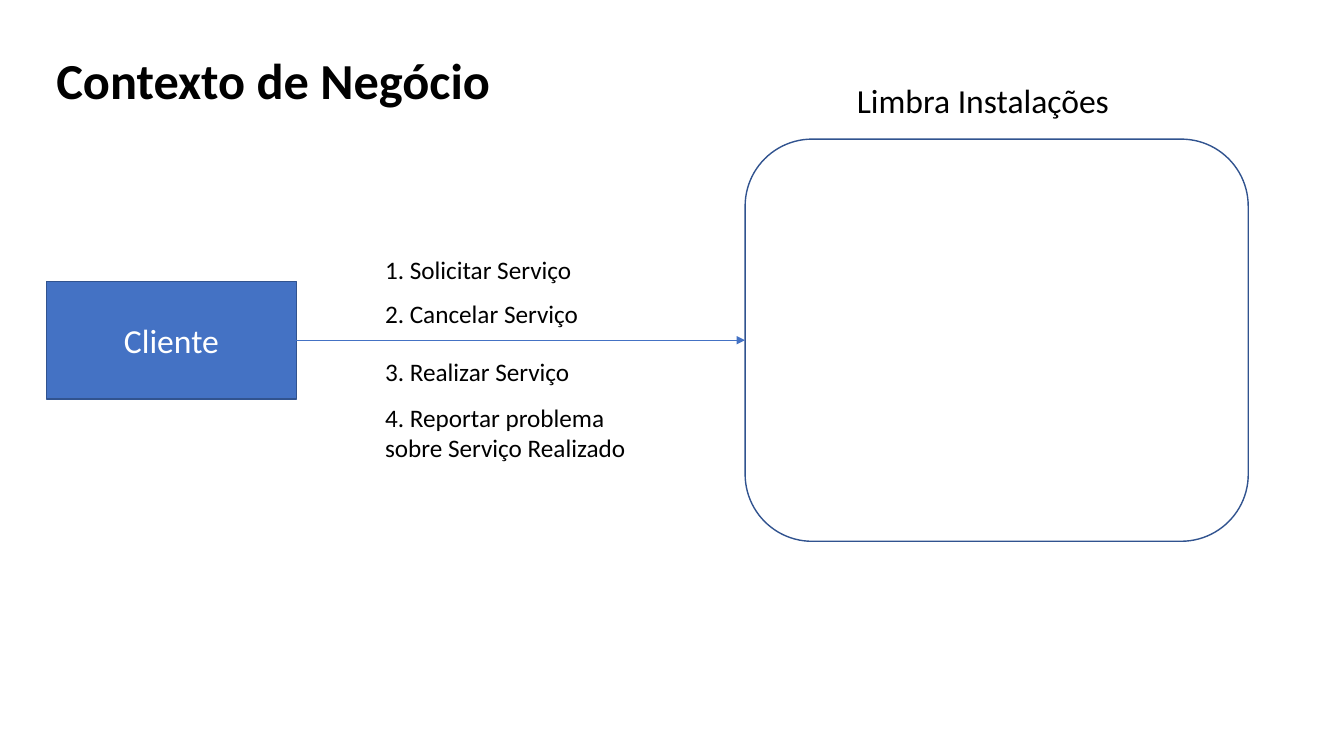
from lxml import etree
from pptx import Presentation
from pptx.dml.color import RGBColor
from pptx.enum.shapes import MSO_CONNECTOR, MSO_SHAPE
from pptx.enum.text import MSO_ANCHOR, PP_ALIGN
from pptx.oxml.ns import qn
from pptx.util import Inches, Pt

RECT = MSO_SHAPE.RECTANGLE
ROUND = MSO_SHAPE.ROUNDED_RECTANGLE
STRAIGHT = MSO_CONNECTOR.STRAIGHT
MIDDLE = MSO_ANCHOR.MIDDLE
CENTER = PP_ALIGN.CENTER

COLORS = {"blue": "4472C4", "edge": "31538F", "white": "FFFFFF", "black": "000000"}


def color(name):
    return RGBColor.from_string(COLORS[name])


class Board:
    font = "Calibri"

    def __init__(self, slide):
        self.shapes = slide.shapes

    def set_text(self, frame, text, size, ink, bold=False):
        frame.word_wrap = True
        frame.text = text
        for run in frame.paragraphs[0].runs:
            run.font.name = self.font
            run.font.size = Pt(size)
            run.font.bold = bold
            run.font.color.rgb = color(ink)

    def label(self, text, left, top, width, height, size, bold=False):
        box = self.shapes.add_textbox(*map(Inches, (left, top, width, height)))
        self.set_text(box.text_frame, text, size, "black", bold)

    def block(self, kind, left, top, width, height, fill, text=""):
        shape = self.shapes.add_shape(kind, *map(Inches, (left, top, width, height)))
        shape.shadow.inherit = False
        shape.fill.solid()
        shape.fill.fore_color.rgb = color(fill)
        shape.line.color.rgb = color("edge")
        shape.line.width = Pt(1)
        if text:
            frame = shape.text_frame
            self.set_text(frame, text, 24, "white")
            frame.vertical_anchor = MIDDLE
            frame.paragraphs[0].alignment = CENTER
        return shape

    def arrow(self, start, end, start_site, end_site):
        """Join two shapes at their connection sites, with a head at the end."""
        link = self.shapes.add_connector(STRAIGHT, 0, 0, 0, 0)
        link.begin_connect(start, start_site)
        link.end_connect(end, end_site)
        link.line.color.rgb = color("blue")
        link.line.width = Pt(0.75)
        props = link._element.spPr
        etree.SubElement(props.find(qn("a:ln")), qn("a:tailEnd"), type="triangle")
        etree.SubElement(props, qn("a:effectLst"))


def main():
    deck = Presentation()
    deck.slide_width, deck.slide_height = Inches(13.33), Inches(7.5)
    board = Board(deck.slides.add_slide(deck.slide_layouts[6]))

    client = board.block(RECT, 0.46, 2.79, 2.48, 1.17, "blue", "Cliente")
    company = board.block(ROUND, 7.39, 1.38, 4.99, 3.99, "white")
    board.arrow(client, company, 3, 1)

    board.label("Contexto de Negócio", 0.46, 0.44, 4.55, 0.71, 36, bold=True)
    board.label("Limbra Instalações", 8.4, 0.74, 3.26, 0.5, 24)

    steps = [
        ("Solicitar Serviço", 2.47, 0.4),
        ("Cancelar Serviço", 2.91, 0.4),
        ("Realizar Serviço", 3.49, 0.4),
        ("Reportar problema sobre Serviço Realizado", 3.94, 1.01),
    ]
    for number, (step, top, height) in enumerate(steps, 1):
        board.label(f"{number}. {step}", 3.72, top, 2.91, height, 18)

    deck.save("out.pptx")


if __name__ == "__main__":
    main()
